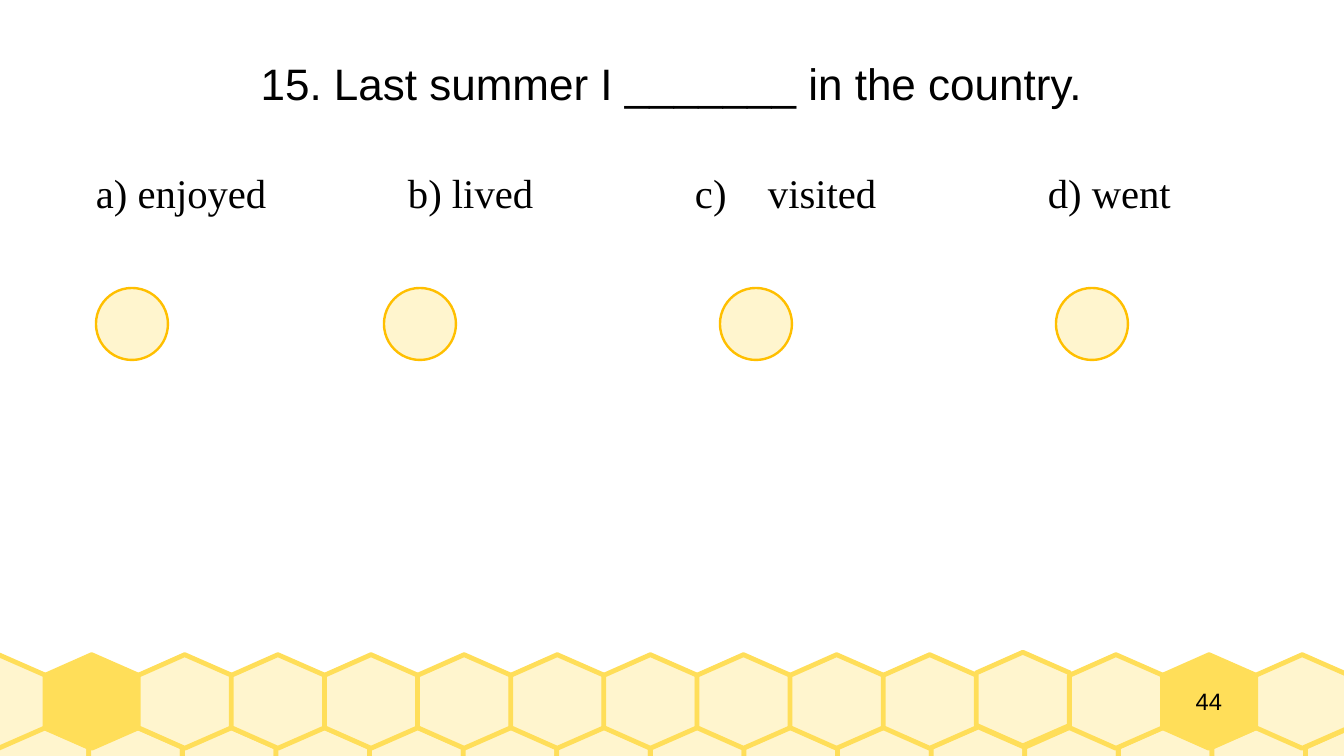
from lxml.etree import SubElement
from pptx import Presentation
from pptx.dml.color import RGBColor
from pptx.enum.shapes import MSO_SHAPE as Shape
from pptx.enum.text import MSO_ANCHOR as Anchor, PP_ALIGN as Align
from pptx.oxml.ns import qn
from pptx.util import Cm, Pt

CREAM = RGBColor(0xFF, 0xF5, 0xCE)
HONEY = RGBColor(0xFF, 0xDE, 0x59)
AMBER = RGBColor(0xFF, 0xBF, 0x00)
BLACK = RGBColor(0, 0, 0)


def paint(shape, fill, line, width):
    shape.shadow.inherit = False
    shape.fill.solid()
    shape.fill.fore_color.rgb = fill
    shape.line.color.rgb = line
    shape.line.width = width


def add_text(page, text, place, font, size, align, anchor):
    box = page.shapes.add_textbox(*[Cm(length) for length in place])
    frame = box.text_frame
    frame.word_wrap = True
    frame.vertical_anchor = anchor
    frame.margin_left = frame.margin_right = Cm(0)
    frame.margin_top = frame.margin_bottom = Cm(0)
    para = frame.paragraphs[0]
    para.alignment = align
    span = para.add_run()
    span.text = text
    span.font.name = font
    span.font.size = Pt(size)
    span.font.color.rgb = BLACK
    return para


deck = Presentation()
deck.slide_width = Cm(28)
deck.slide_height = Cm(15.75)
page = deck.slides.add_slide(deck.slide_layouts[6])

HEXAGON = [(0.97, 0), (0, 0.43), (0, 1.52), (0.97, 1.95), (1.95, 1.52), (1.95, 0.43)]
COLUMNS = 15
HIGHLIGHTED = (1, 13)
RAISED = 11
comb_rows = [(-0.1, 15.14, 1.95, False), (-1, 13.64, 1.94, True)]

for left, top, pitch, is_upper in comb_rows:
    for column in range(COLUMNS):
        x = left + column * pitch
        y = top - 0.05 if is_upper and column == RAISED else top
        corners = [(Cm(x + dx), Cm(y + dy)) for dx, dy in HEXAGON]
        builder = page.shapes.build_freeform(*corners[0])
        builder.add_line_segments(corners[1:], close=True)
        cell = builder.convert_to_shape()
        fill = HONEY if is_upper and column in HIGHLIGHTED else CREAM
        paint(cell, fill, HONEY, Cm(0.1))

add_text(page, "44", (23.6, 13.64, 3.17, 1.95), "Arial", 14, Align.CENTER, Anchor.MIDDLE)
add_text(page, "15. Last summer I _______ in the country.", (1.5, 0.45, 25, 2.57),
         "Arial", 26, Align.CENTER, Anchor.MIDDLE)
answers = add_text(page, "a) enjoyed\tb) lived\tc)\tvisited\td) went", (2, 3.5, 25, 6),
                   "Times New Roman", 24, Align.LEFT, Anchor.TOP)
tab_list = SubElement(answers._p.get_or_add_pPr(), qn("a:tabLst"))
for stop in (6.5, 12.48, 14, 19.83):
    SubElement(tab_list, qn("a:tab"), pos=str(int(Cm(stop))), algn="l")

for left in (2, 8, 15, 22):
    circle = page.shapes.add_shape(Shape.OVAL, Cm(left), Cm(6), Cm(1.5), Cm(1.5))
    paint(circle, CREAM, AMBER, Cm(0.05))

deck.save("out.pptx")
